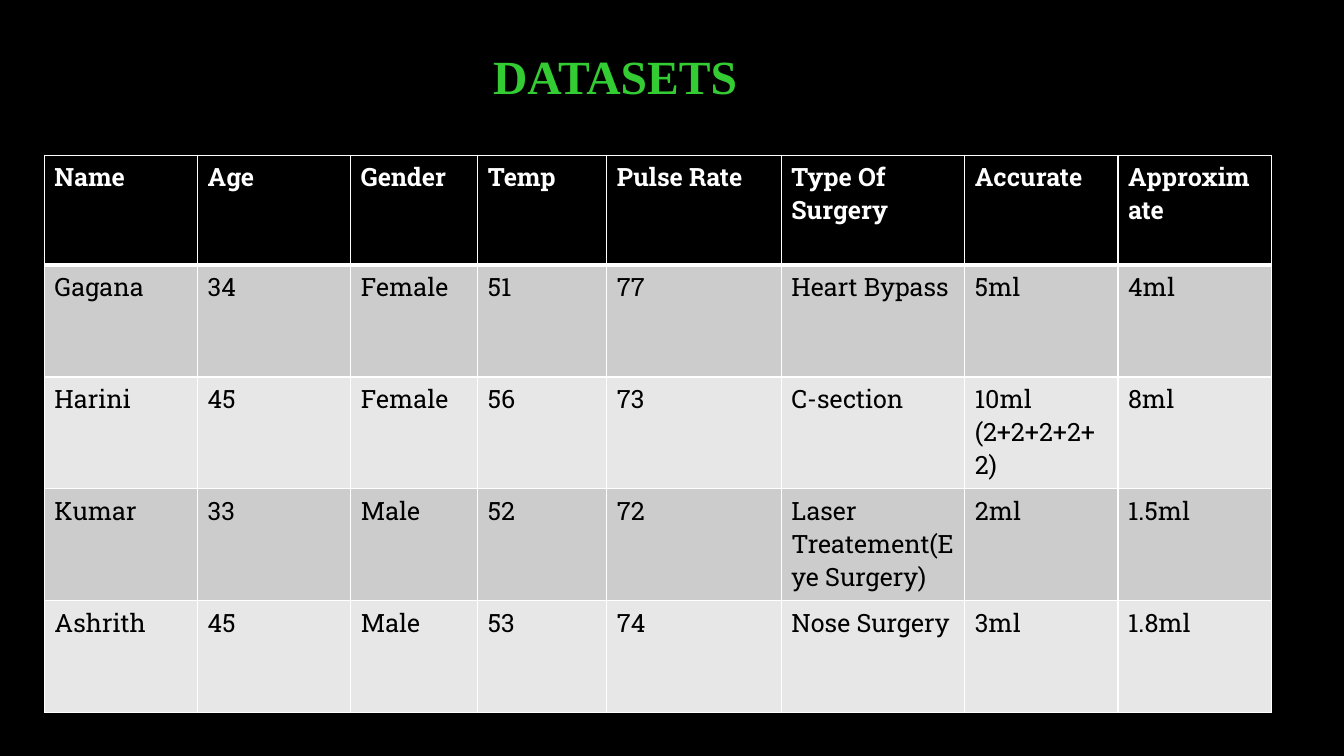
from lxml import etree
from pptx import Presentation
from pptx.dml.color import RGBColor
from pptx.enum.text import MSO_ANCHOR, PP_ALIGN
from pptx.oxml.ns import qn
from pptx.util import Inches, Pt

MIDDLE = MSO_ANCHOR.MIDDLE
CENTER = PP_ALIGN.CENTER

BLACK = RGBColor(0x00, 0x00, 0x00)
WHITE = RGBColor(0xFF, 0xFF, 0xFF)
GREEN = RGBColor(0x33, 0xCC, 0x33)
DARK_BAND = RGBColor(0xCC, 0xCC, 0xCC)
LIGHT_BAND = RGBColor(0xE7, 0xE7, 0xE7)

COLUMN_WIDTHS = [1.52, 1.52, 1.26, 1.28, 1.73, 1.82, 1.52, 1.52]
ROW_HEIGHTS = [1.09, 1.11, 1.11, 1.11, 1.11]
PATIENTS = [
    ["Name", "Age", "Gender", "Temp", "Pulse Rate", "Type Of Surgery", "Accurate", "Approximate"],
    ["Gagana", "34", "Female", "51", "77", "Heart Bypass", "5ml", "4ml"],
    ["Harini", "45", "Female", "56", "73", "C-section", "10ml\n(2+2+2+2+2)", "8ml"],
    ["Kumar", "33", "Male", "52", "72", "Laser Treatement(Eye Surgery)", "2ml", "1.5ml"],
    ["Ashrith", "45", "Male", "53", "74", "Nose Surgery", "3ml", "1.8ml"],
]


def add_span(para, text, font, size, color, bold):
    span = para.add_run()
    span.text = text
    span.font.name = font
    span.font.size = Pt(size)
    span.font.color.rgb = color
    span.font.bold = bold


def add_border(cell, side, points):
    properties = cell._tc.get_or_add_tcPr()
    line = etree.SubElement(properties, qn(f"a:ln{side}"), w=str(Pt(points)))
    fill = etree.SubElement(line, qn("a:solidFill"))
    etree.SubElement(fill, qn("a:srgbClr"), val=str(WHITE))


deck = Presentation()
deck.slide_width = Inches(13.33)
deck.slide_height = Inches(7.5)
page = deck.slides.add_slide(deck.slide_layouts[6])
page.background.fill.solid()
page.background.fill.fore_color.rgb = BLACK

title_box = page.shapes.add_textbox(Inches(0.44), Inches(0.25), Inches(11.32), Inches(1.07))
title_box.text_frame.word_wrap = True
title_box.text_frame.vertical_anchor = MIDDLE
title_para = title_box.text_frame.paragraphs[0]
title_para.alignment = CENTER
title_para.line_spacing = 0.9
add_span(title_para, "DATASETS", "Times New Roman", 34, GREEN, True)

table = page.shapes.add_table(
    len(PATIENTS), len(COLUMN_WIDTHS), Inches(0.44), Inches(1.54), Inches(12.16), Inches(5.52)
).table
for column, width in zip(table.columns, COLUMN_WIDTHS):
    column.width = Inches(width)
for row, height in zip(table.rows, ROW_HEIGHTS):
    row.height = Inches(height)

for row_index, values in enumerate(PATIENTS):
    is_header = row_index == 0
    if is_header:
        band = BLACK
    else:
        band = DARK_BAND if row_index % 2 else LIGHT_BAND
    for column_index, value in enumerate(values):
        cell = table.cell(row_index, column_index)
        for side in "LRTB":
            heavy = (side == "B" and is_header) or (side == "T" and row_index == 1)
            add_border(cell, side, 3 if heavy else 1)
        cell.fill.solid()
        cell.fill.fore_color.rgb = band
        for line_index, text in enumerate(value.split("\n")):
            frame = cell.text_frame
            para = frame.add_paragraph() if line_index else frame.paragraphs[0]
            add_span(para, text, "Roboto Slab", 18, WHITE if is_header else BLACK, is_header)

deck.save("out.pptx")
